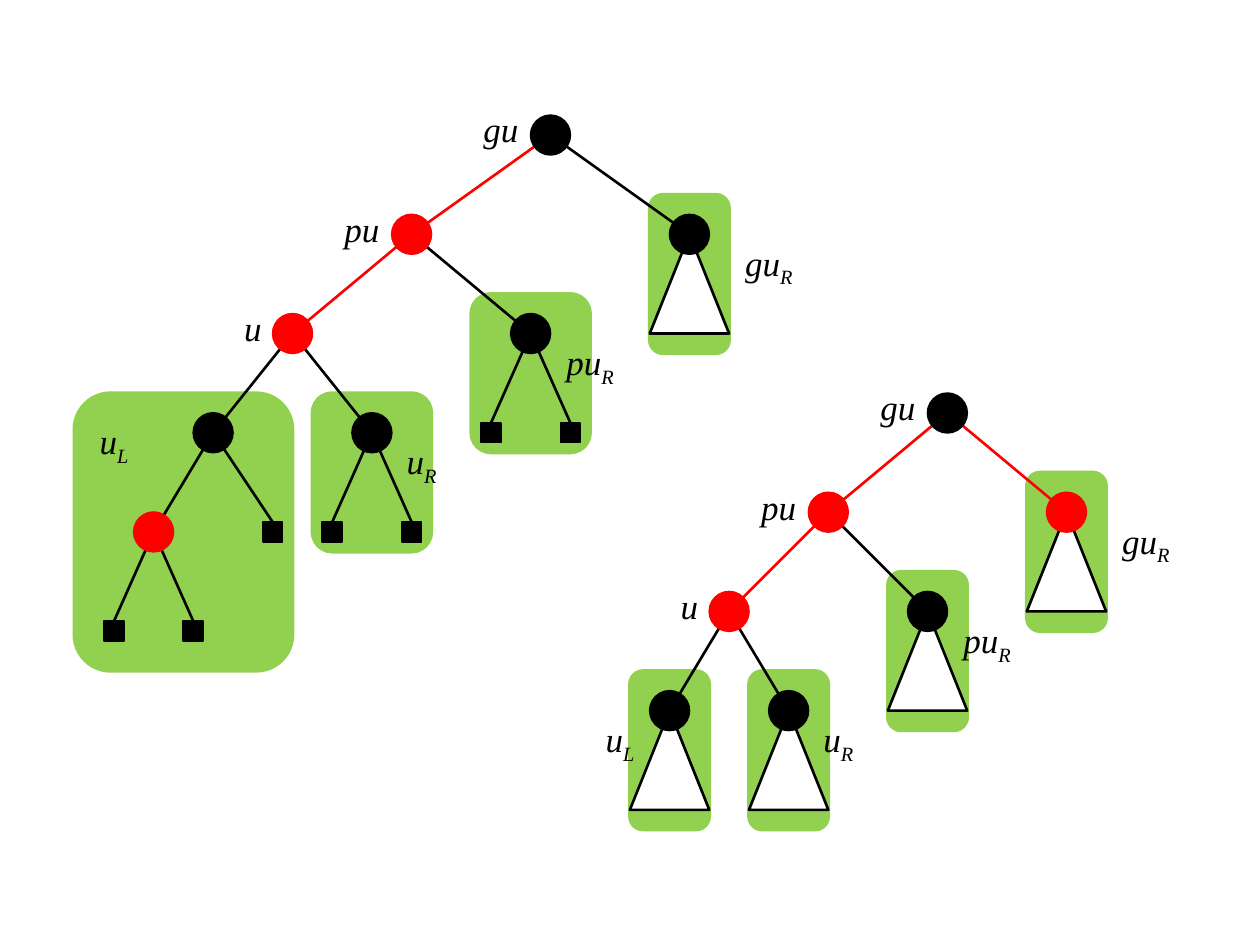
from pptx import Presentation, util as u
from pptx.dml.color import RGBColor
from pptx.enum import shapes, text
from pptx.oxml.ns import qn
from lxml import etree

UNIT = 11.34
BLACK, RED, GREEN, WHITE = "000000", "FF0000", "92D050", "FFFFFF"
SHAPE = shapes.MSO_SHAPE


def grid(value):
    """Convert grid units to a length."""
    return u.Pt(round(value * UNIT, 2))


def color(fmt, value):
    """Apply a hex colour to a colour format."""
    fmt.rgb = RGBColor.from_string(value)


def add_shape(s, kind, box, fill, line, width):
    """Add a filled preset shape."""
    sp = s.shapes.add_shape(kind, *map(grid, box))
    sp.shadow.inherit = False
    sp.fill.solid()
    color(sp.fill.fore_color, fill)
    color(sp.line.color, line)
    sp.line.width = u.Pt(width)


def add_edge(s, start, end, line):
    """Add a straight edge between two points."""
    cx = s.shapes.add_connector(shapes.MSO_CONNECTOR.STRAIGHT, *map(grid, start + end))
    color(cx.line.color, line)
    cx.line.width = u.Pt(1.5)
    etree.SubElement(cx._element.spPr, qn("a:effectLst"))


def add_node(s, x, y, fill):
    """Add a round node centred on a point."""
    add_shape(s, SHAPE.OVAL, (x - 1, y - 1, 2, 2), fill, fill, 1)


def add_subtree(s, x, y):
    """Add a triangle whose tip is at a point."""
    add_shape(s, SHAPE.ISOSCELES_TRIANGLE, (x - 2, y, 4, 5), WHITE, BLACK, 1.5)


def add_leaf(s, x, y, dx):
    """Add a square leaf one level below a node, with its edge."""
    add_edge(s, (x, y), (x + dx, y + 4.5), BLACK)
    add_shape(s, SHAPE.RECTANGLE, (x + dx - 0.5, y + 4.5, 1, 1), BLACK, BLACK, 1)


def add_label(s, name, x, y, width):
    """Add an italic label, with an optional subscript after an underscore."""
    tb = s.shapes.add_textbox(grid(x), grid(y), grid(width), grid(2))
    tf = tb.text_frame
    tf.word_wrap = True
    tf.vertical_anchor = text.MSO_ANCHOR.BOTTOM
    tf.margin_left = tf.margin_right = u.Pt(5)
    tf.margin_top, tf.margin_bottom = u.Pt(0), u.Pt(2.8)
    p = tf.paragraphs[0]
    p.alignment = text.PP_ALIGN.CENTER
    for i, part in enumerate(name.split("_")):
        r = p.add_run()
        r.text = part
        r.font.name, r.font.size, r.font.italic = "Times New Roman", u.Pt(20), True
        color(r.font.color, BLACK)
        if i:
            r._r.get_or_add_rPr().set("baseline", "-25000")


def add_tree(s, root, nodes, edges, boxes, triangles, leaves, labels):
    """Draw a tree whose positions are grid offsets from its root."""
    at = {name: (root[0] / UNIT + x, root[1] / UNIT + y)
          for name, (x, y, _) in nodes.items()}
    for name, (dx, width, height) in boxes.items():
        x, y = at[name]
        add_shape(s, SHAPE.FLOWCHART_ALTERNATE_PROCESS,
                  (x + dx, y - 2, width, height), GREEN, GREEN, 2)
    for start, end, line in edges:
        add_edge(s, at[start], at[end], line)
    for name in triangles:
        add_subtree(s, *at[name])
    for name, offsets in leaves.items():
        for dx in offsets:
            add_leaf(s, *at[name], dx)
    for name, (_, _, fill) in nodes.items():
        add_node(s, *at[name], fill)
    for name, (dx, dy, width) in labels.items():
        x, y = at[name]
        add_label(s, name, x + dx, y + dy, width)


def main():
    """Build the slide with both trees."""
    prs = Presentation()
    prs.slide_width, prs.slide_height = u.Pt(720), u.Pt(540)
    s = prs.slides.add_slide(prs.slide_layouts[6])

    edges = [("gu", "pu", RED), ("pu", "u", RED), ("pu", "pu_R", BLACK),
             ("u", "u_L", BLACK), ("u", "u_R", BLACK)]
    labels = {"gu": (-4, -1, 3), "pu": (-4, -1, 3), "u": (-3, -1, 2),
              "gu_R": (2, 1, 4), "pu_R": (1, 1, 4), "u_R": (1, 1, 3)}
    narrow, medium, wide = (-2, 4, 8), (-3, 6, 8), (-7, 11, 14)

    add_tree(
        s, (314.6, 77.2),
        nodes={"gu": (0, 0, BLACK), "pu": (-7, 5, RED), "gu_R": (7, 5, BLACK),
               "u": (-13, 10, RED), "pu_R": (-1, 10, BLACK),
               "u_L": (-17, 15, BLACK), "u_R": (-9, 15, BLACK),
               "child": (-20, 20, RED)},
        edges=edges + [("gu", "gu_R", BLACK), ("u_L", "child", BLACK)],
        boxes={"u_L": wide, "gu_R": narrow, "u_R": medium, "pu_R": medium},
        triangles=["gu_R"],
        leaves={"child": (-2, 2), "u_L": (3,), "u_R": (-2, 2), "pu_R": (-2, 2)},
        labels={**labels, "u_L": (-7, 0, 4)})

    subtrees = ["gu_R", "pu_R", "u_L", "u_R"]
    add_tree(
        s, (541.4, 236),
        nodes={"gu": (0, 0, BLACK), "pu": (-6, 5, RED), "gu_R": (6, 5, RED),
               "u": (-11, 10, RED), "pu_R": (-1, 10, BLACK),
               "u_L": (-14, 15, BLACK), "u_R": (-8, 15, BLACK)},
        edges=edges + [("gu", "gu_R", RED)],
        boxes=dict.fromkeys(subtrees, narrow),
        triangles=subtrees,
        leaves={},
        labels={**labels, "u_L": (-4, 1, 3)})

    prs.save("out.pptx")


if __name__ == "__main__":
    main()
